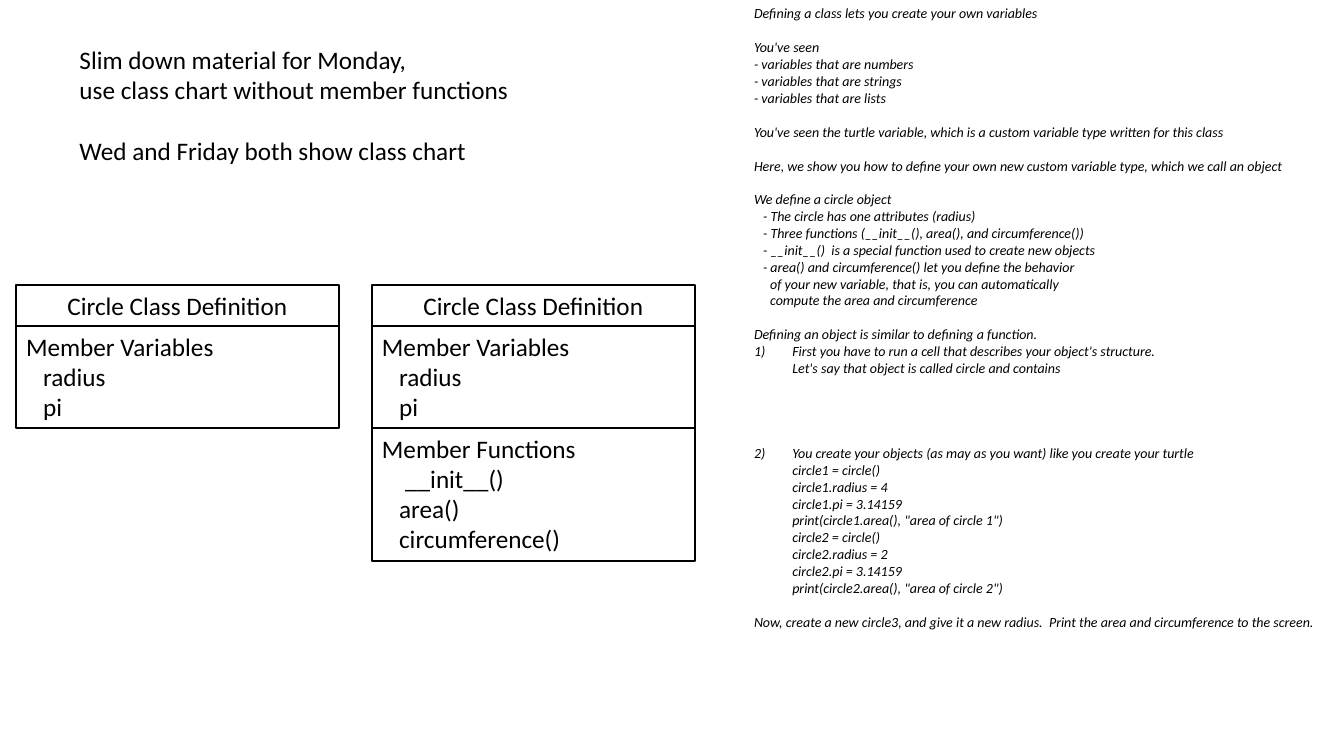
from pptx import Presentation, util as u
from pptx.dml.color import RGBColor
from pptx.enum import text
from lxml import etree

WIDTH, HEIGHT = 13.33, 7.5
FONT, INK = "Calibri", "000000"
LINE_FACTOR = 1.22
DRAWING = "{http://schemas.openxmlformats.org/drawingml/2006/main}"

# Each paragraph: text, then optional blank lines above, left margin, first-line indent, number
PLAN = [
    ("Slim down material for Monday,",),
    ("use class chart without member functions",),
    ("Wed and Friday both show class chart", 1),
]
HEADING = [("Circle Class Definition",)]
VARIABLES = [("Member Variables",), ("radius", 0, 0.17), ("pi", 0, 0.17)]
FUNCTIONS = [("Member Functions",), ("__init__()", 0, 0.23),
             ("area()", 0, 0.17), ("circumference()", 0, 0.17)]
CHARTS = [(0.16, [HEADING, VARIABLES]),
          (3.69, [HEADING, VARIABLES, FUNCTIONS])]
LESSON = [
    ("Defining a class lets you create your own variables",),
    ("You've seen", 1),
    ("- variables that are numbers",),
    ("- variables that are strings",),
    ("- variables that are lists",),
    ("You've seen the turtle variable, which is a custom variable type written for this class", 1),
    ("Here, we show you how to define your own new custom variable type, which we call an object", 1),
    ("We define a circle object", 1),
    ("- The circle has one attributes (radius)", 0, 0.09),
    ("- Three functions (__init__(), area(), and circumference())", 0, 0.09),
    ("- __init__()  is a special function used to create new objects", 0, 0.09),
    ("- area() and circumference() let you define the behavior\n"
     "of your new variable, that is, you can automatically", 0, 0.16, -0.07),
    ("compute the area and circumference", 0, 0.16),
    ("Defining an object is similar to defining a function.", 1),
    ("First you have to run a cell that describes your object's structure.\n"
     "Let's say that object is called circle and contains", 0, 0.38, -0.38, 1),
    ("You create your objects (as may as you want) like you create your turtle\n"
     "circle1 = circle()\n"
     "circle1.radius = 4\n"
     "circle1.pi = 3.14159\n"
     'print(circle1.area(), "area of circle 1")\n'
     "circle2 = circle()\n"
     "circle2.radius = 2\n"
     "circle2.pi = 3.14159\n"
     'print(circle2.area(), "area of circle 2")', 4, 0.38, -0.38, 2),
    ("Now, create a new circle3, and give it a new radius.  "
     "Print the area and circumference to the screen.", 1),
]


def color(value):
    return RGBColor.from_string(value)


def write_paragraph(paragraph, size, italic, words, blank=0, left=0, indent=0, number=None):
    paragraph.space_before = u.Pt(round(blank * size * LINE_FACTOR, 1))
    properties = paragraph._p.get_or_add_pPr()
    properties.set("marL", str(u.Inches(left)))
    properties.set("indent", str(u.Inches(indent)))
    if number:
        etree.SubElement(properties, DRAWING + "buAutoNum",
                         type="arabicParenR", startAt=str(number))
    for index, line in enumerate(words.split("\n")):
        if index:
            paragraph.add_line_break()
        run = paragraph.add_run()
        run.text = line
        run.font.name, run.font.size, run.font.italic = FONT, u.Pt(size), italic
        run.font.color.rgb = color(INK)


def add_text(parent, place, paragraphs, size=18, italic=False, wrap=True):
    box = parent.add_textbox(*map(u.Inches, place))
    frame = box.text_frame
    frame.word_wrap = wrap
    frame.vertical_anchor = text.MSO_ANCHOR.TOP
    for index, content in enumerate(paragraphs):
        paragraph = frame.add_paragraph() if index else frame.paragraphs[0]
        write_paragraph(paragraph, size, italic, *content)
    return box


def add_class_chart(slide, left, sections, top=2.83, width=3.2):
    chart = slide.shapes.add_group_shape()
    for section in sections:
        height = 0.1 + 0.304 * len(section)
        box = add_text(chart.shapes, (left, top, width, height), section)
        box.line.color.rgb = color(INK)
        box.line.width = u.Pt(1.5)
        if section is HEADING:
            box.text_frame.paragraphs[0].alignment = text.PP_ALIGN.CENTER
        top += height


def main():
    deck = Presentation()
    deck.slide_width, deck.slide_height = u.Inches(WIDTH), u.Inches(HEIGHT)
    slide = deck.slides.add_slide(deck.slide_layouts[6])
    add_text(slide.shapes, (7.38, 0, 5.92, 6.33), LESSON, size=10, italic=True)
    add_text(slide.shapes, (0.69, 0.39, 4.5, 1.92), PLAN, wrap=False)
    for left, sections in CHARTS:
        add_class_chart(slide, left, sections)
    deck.save("out.pptx")


if __name__ == "__main__":
    main()
